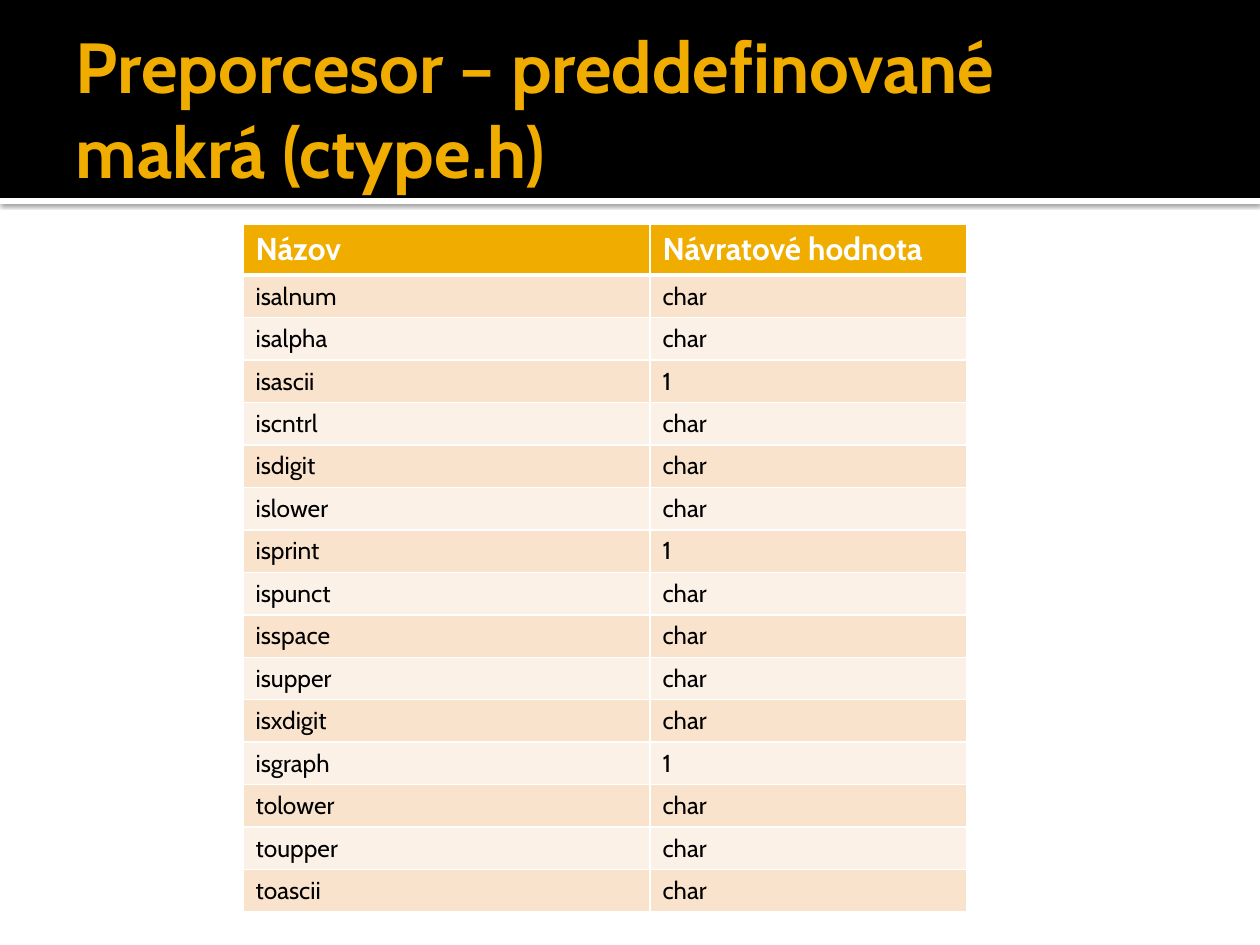
"""Build a slide listing the ctype.h macros and their return values."""
from lxml import etree
from pptx import Presentation
from pptx.dml.color import RGBColor
from pptx.enum.shapes import MSO_SHAPE
from pptx.enum.text import MSO_ANCHOR, MSO_AUTO_SIZE, PP_ALIGN
from pptx.oxml.ns import qn
from pptx.util import Emu, Pt

TITLE = "Preporcesor – preddefinované makrá (ctype.h)"
HEADER = ("Názov", "Návratové hodnota")
MACROS = [
    ("isalnum", "char"),
    ("isalpha", "char"),
    ("isascii", "1"),
    ("iscntrl", "char"),
    ("isdigit", "char"),
    ("islower", "char"),
    ("isprint", "1"),
    ("ispunct", "char"),
    ("isspace", "char"),
    ("isupper", "char"),
    ("isxdigit", "char"),
    ("isgraph", "1"),
    ("tolower", "char"),
    ("toupper", "char"),
    ("toascii", "char"),
]

FONT = "Cabin"
GOLD = RGBColor(0xF0, 0xAD, 0x00)
BLACK = RGBColor(0x00, 0x00, 0x00)
WHITE = RGBColor(0xFF, 0xFF, 0xFF)
BANDS = (RGBColor(0xF9, 0xE3, 0xCC), RGBColor(0xFC, 0xF1, 0xE7))

RECTANGLE = MSO_SHAPE.RECTANGLE
MIDDLE = MSO_ANCHOR.MIDDLE
NO_AUTOFIT = MSO_AUTO_SIZE.NONE
LEFT = PP_ALIGN.LEFT

PAGE_WIDTH, PAGE_HEIGHT = 1260, 945
BANNER_HEIGHT, STRIP_HEIGHT = 198, 6
TITLE_BOX = (63, 21, 1134, 173)
TABLE_LEFT, TABLE_TOP = 243, 224
COLUMN_WIDTHS = (407, 317)
HEADER_HEIGHT, ROW_HEIGHT = 50, 42


def px(length):
    return Emu(round(length * 914400 / 126))


def style_text(frame, size, color, bold):
    for para in frame.paragraphs:
        para.alignment = LEFT
        for span in para.runs:
            span.font.name = FONT
            span.font.size = Pt(size)
            span.font.bold = bold
            span.font.color.rgb = color


def add_bar(page, top, height, color):
    bar = page.shapes.add_shape(RECTANGLE, 0, px(top), px(PAGE_WIDTH), px(height))
    bar.fill.solid()
    bar.fill.fore_color.rgb = color
    bar.line.fill.background()
    bar.shadow.inherit = False
    page.shapes.title.element.addprevious(bar.element)
    return bar


def add_shadow(bar):
    effects = bar.element.spPr.find(qn("a:effectLst"))
    shadow = etree.SubElement(effects, qn("a:outerShdw"), blurRad=str(Pt(2.5)),
                              dist=str(Pt(0.8)), dir="5400000", rotWithShape="0")
    color = etree.SubElement(shadow, qn("a:srgbClr"), val=str(BLACK))
    etree.SubElement(color, qn("a:alpha"), val="60000")


def add_borders(cell, bottom):
    properties = cell._tc.get_or_add_tcPr()
    widths = {"a:lnL": 1, "a:lnR": 1, "a:lnT": 1, "a:lnB": bottom}
    for position, (tag, width) in enumerate(widths.items()):
        line = etree.Element(qn(tag), w=str(Pt(width)))
        fill = etree.SubElement(line, qn("a:solidFill"))
        etree.SubElement(fill, qn("a:srgbClr"), val=str(WHITE))
        properties.insert(position, line)


def place_title(page):
    title = page.shapes.title
    title.left, title.top, title.width, title.height = map(px, TITLE_BOX)
    frame = title.text_frame
    frame.text = TITLE
    frame.word_wrap = True
    frame.auto_size = NO_AUTOFIT
    frame.vertical_anchor = MIDDLE
    frame.margin_left = px(13)
    frame.margin_right = frame.margin_top = frame.margin_bottom = px(6)
    style_text(frame, 40.5, GOLD, True)


def add_macro_table(page):
    rows = [HEADER, *MACROS]
    height = HEADER_HEIGHT + ROW_HEIGHT * len(MACROS)
    table = page.shapes.add_table(len(rows), len(HEADER), px(TABLE_LEFT), px(TABLE_TOP),
                                  px(sum(COLUMN_WIDTHS)), px(height)).table
    for column, width in zip(table.columns, COLUMN_WIDTHS):
        column.width = px(width)
    for index, texts in enumerate(rows):
        is_header = index == 0
        table.rows[index].height = px(HEADER_HEIGHT if is_header else ROW_HEIGHT)
        for column, text in enumerate(texts):
            cell = table.cell(index, column)
            cell.text_frame.text = text
            cell.fill.solid()
            cell.fill.fore_color.rgb = GOLD if is_header else BANDS[(index - 1) % 2]
            if is_header:
                style_text(cell.text_frame, 18, WHITE, True)
            else:
                style_text(cell.text_frame, 14, BLACK, False)
            add_borders(cell, 3 if is_header else 1)
            if index == 1:
                top_line = cell._tc.tcPr.find(qn("a:lnT"))
                top_line.set("w", str(Pt(3)))


def main():
    deck = Presentation()
    deck.slide_width, deck.slide_height = px(PAGE_WIDTH), px(PAGE_HEIGHT)
    page = deck.slides.add_slide(deck.slide_layouts[5])
    add_shadow(add_bar(page, BANNER_HEIGHT, STRIP_HEIGHT, WHITE))
    add_bar(page, 0, BANNER_HEIGHT, BLACK)
    place_title(page)
    add_macro_table(page)
    deck.save("out.pptx")


if __name__ == "__main__":
    main()
